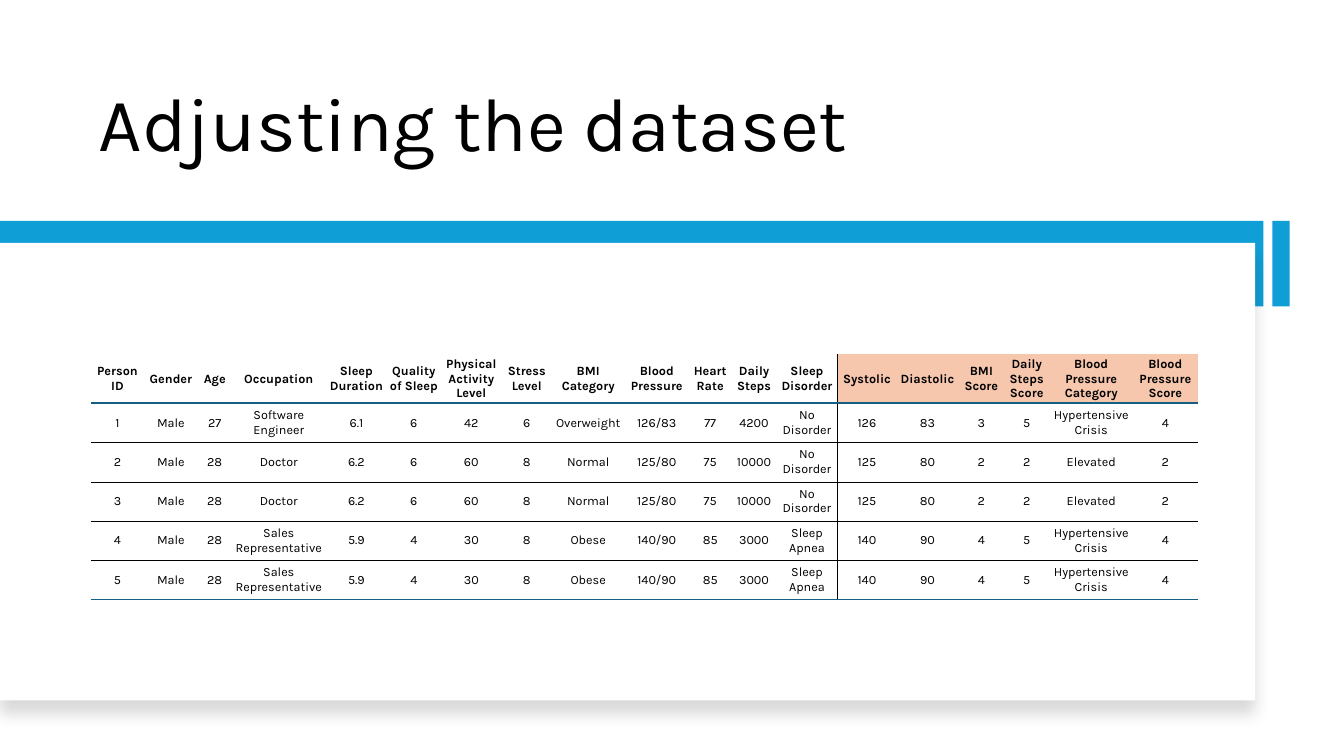
"""Build the slide that shows the sleep dataset with its added score columns."""
from lxml import etree
from pptx import Presentation
from pptx import util as u
from pptx.dml.color import RGBColor
from pptx.enum import shapes, text
from pptx.oxml import ns

TITLE = "Adjusting the dataset"
FONT = "Karla"
COLORS = {"ink": "000000", "accent": "0F9ED5", "panel": "FFFFFF",
          "added": "F6C6AD", "rule": "156082"}

HEADERS = ["Person ID", "Gender", "Age", "Occupation", "Sleep Duration", "Quality of Sleep",
           "Physical Activity Level", "Stress Level", "BMI Category", "Blood Pressure",
           "Heart Rate", "Daily Steps", "Sleep Disorder", "Systolic", "Diastolic", "BMI Score",
           "Daily Steps Score", "Blood Pressure Category", "Blood Pressure Score"]
FIRST_ADDED = HEADERS.index("Systolic")
ENGINEER = ["Male", "27", "Software Engineer", "6.1", "6", "42", "6", "Overweight", "126/83",
            "77", "4200", "No Disorder", "126", "83", "3", "5", "Hypertensive Crisis", "4"]
DOCTOR = ["Male", "28", "Doctor", "6.2", "6", "60", "8", "Normal", "125/80",
          "75", "10000", "No Disorder", "125", "80", "2", "2", "Elevated", "2"]
SALES = ["Male", "28", "Sales Representative", "5.9", "4", "30", "8", "Obese", "140/90",
         "85", "3000", "Sleep Apnea", "140", "90", "4", "5", "Hypertensive Crisis", "4"]
PEOPLE = [ENGINEER, DOCTOR, DOCTOR, SALES, SALES]
ROWS = [HEADERS] + [[str(number), *person] for number, person in enumerate(PEOPLE, 1)]

COLUMN_WIDTHS = [0.53, 0.53, 0.34, 0.93, 0.61, 0.53, 0.61, 0.49, 0.73, 0.63,
                 0.43, 0.44, 0.61, 0.58, 0.62, 0.45, 0.45, 0.83, 0.64]
ROW_HEIGHTS = [0.49] + [0.39] * len(PEOPLE)
TITLE_BOX = (0.88, 0.42, 10.1, 1.3)
TABLE_CORNER = (0.9, 3.51)
PANELS = [((12.28, 2.53, 0.85, 0.17), "accent", 90),
          ((0, 2.19, 12.53, 0.85), "accent", 0),
          ((0, 2.41, 12.45, 4.54), "panel", 0)]

HEADER_RULE = ("rule", 1.5)
ROW_RULE = ("ink", 0.25)
LAST_RULE = ("rule", 1)
DIVIDER = ("ink", 1)
RULES = [None, HEADER_RULE] + [ROW_RULE] * (len(PEOPLE) - 1) + [LAST_RULE]


def rgb(name):
    return RGBColor.from_string(COLORS[name])


def apply(target, values):
    for name, value in values.items():
        setattr(target, name, value)


def add(parent, tag, **attributes):
    return etree.SubElement(parent, ns.qn(tag), {k: str(v) for k, v in attributes.items()})


def add_color(parent, name):
    return add(add(parent, "a:solidFill"), "a:srgbClr", val=COLORS[name])


def add_panel(slide, box, color, rotation):
    panel = slide.shapes.add_shape(shapes.MSO_SHAPE.RECTANGLE, *map(u.Inches, box))
    panel.rotation = rotation
    panel.shadow.inherit = False
    panel.fill.solid()
    panel.fill.fore_color.rgb = rgb(color)
    panel.line.fill.background()
    return panel


def cast_shadow(panel):
    effects = panel._element.spPr.find(ns.qn("a:effectLst"))
    shadow = add(effects, "a:outerShdw", blurRad=u.Pt(11), dist=u.Pt(10),
                 dir=90 * 60000, algn="t", rotWithShape=0)
    color = add(shadow, "a:srgbClr", val=COLORS["ink"])
    add(color, "a:alpha", val=15000)


def set_borders(cell, borders):
    properties = cell._tc.get_or_add_tcPr()
    for side, rule in zip("LRTB", borders):
        if rule:
            color, width = rule
            add_color(add(properties, f"a:ln{side}", w=u.Pt(width)), color)
        else:
            add(add(properties, f"a:ln{side}", w=0), "a:noFill")


def format_cell(cell, wording, row, column):
    header = row == 0
    apply(cell, {"text": wording, "vertical_anchor": text.MSO_ANCHOR.MIDDLE,
                 "margin_left": u.Inches(0.01), "margin_right": u.Inches(0.01),
                 "margin_top": u.Inches(0.01 if header else 0.03),
                 "margin_bottom": u.Inches(0 if header else 0.03)})
    paragraph = cell.text_frame.paragraphs[0]
    paragraph.alignment = text.PP_ALIGN.CENTER
    font = paragraph.runs[0].font
    apply(font, {"name": FONT, "size": u.Pt(9), "bold": header})
    font.color.rgb = rgb("ink")
    set_borders(cell, (DIVIDER if column == FIRST_ADDED else None,
                       DIVIDER if column == FIRST_ADDED - 1 else None,
                       RULES[row], RULES[row + 1]))
    if header and column >= FIRST_ADDED:
        cell.fill.solid()
        cell.fill.fore_color.rgb = rgb("added")
    else:
        cell.fill.background()


def add_dataset(slide):
    size = (sum(COLUMN_WIDTHS), sum(ROW_HEIGHTS))
    dataset = slide.shapes.add_table(len(ROWS), len(HEADERS),
                                     *map(u.Inches, TABLE_CORNER + size)).table
    apply(dataset, {"first_row": False, "horz_banding": False})
    for column, width in zip(dataset.columns, COLUMN_WIDTHS):
        column.width = u.Inches(width)
    for row, height in zip(dataset.rows, ROW_HEIGHTS):
        row.height = u.Inches(height)
    for row, wordings in enumerate(ROWS):
        for column, wording in enumerate(wordings):
            format_cell(dataset.cell(row, column), wording, row, column)


def format_title(title):
    apply(title, dict(zip(("left", "top", "width", "height"), map(u.Inches, TITLE_BOX))))
    apply(title.text_frame, {"text": TITLE, "word_wrap": True,
                             "vertical_anchor": text.MSO_ANCHOR.BOTTOM})
    paragraph = title.text_frame.paragraphs[0]
    apply(paragraph, {"alignment": text.PP_ALIGN.LEFT, "line_spacing": 0.9})
    font = paragraph.runs[0].font
    apply(font, {"name": FONT, "size": u.Pt(54)})
    font.color.rgb = rgb("ink")


def main():
    deck = Presentation()
    apply(deck, {"slide_width": u.Inches(13.33), "slide_height": u.Inches(7.5)})
    slide = deck.slides.add_slide(deck.slide_layouts.get_by_name("Title Only"))
    format_title(slide.shapes.title)
    panels = [add_panel(slide, *panel) for panel in PANELS]
    cast_shadow(panels[-1])
    add_dataset(slide)
    deck.save("out.pptx")


if __name__ == "__main__":
    main()
